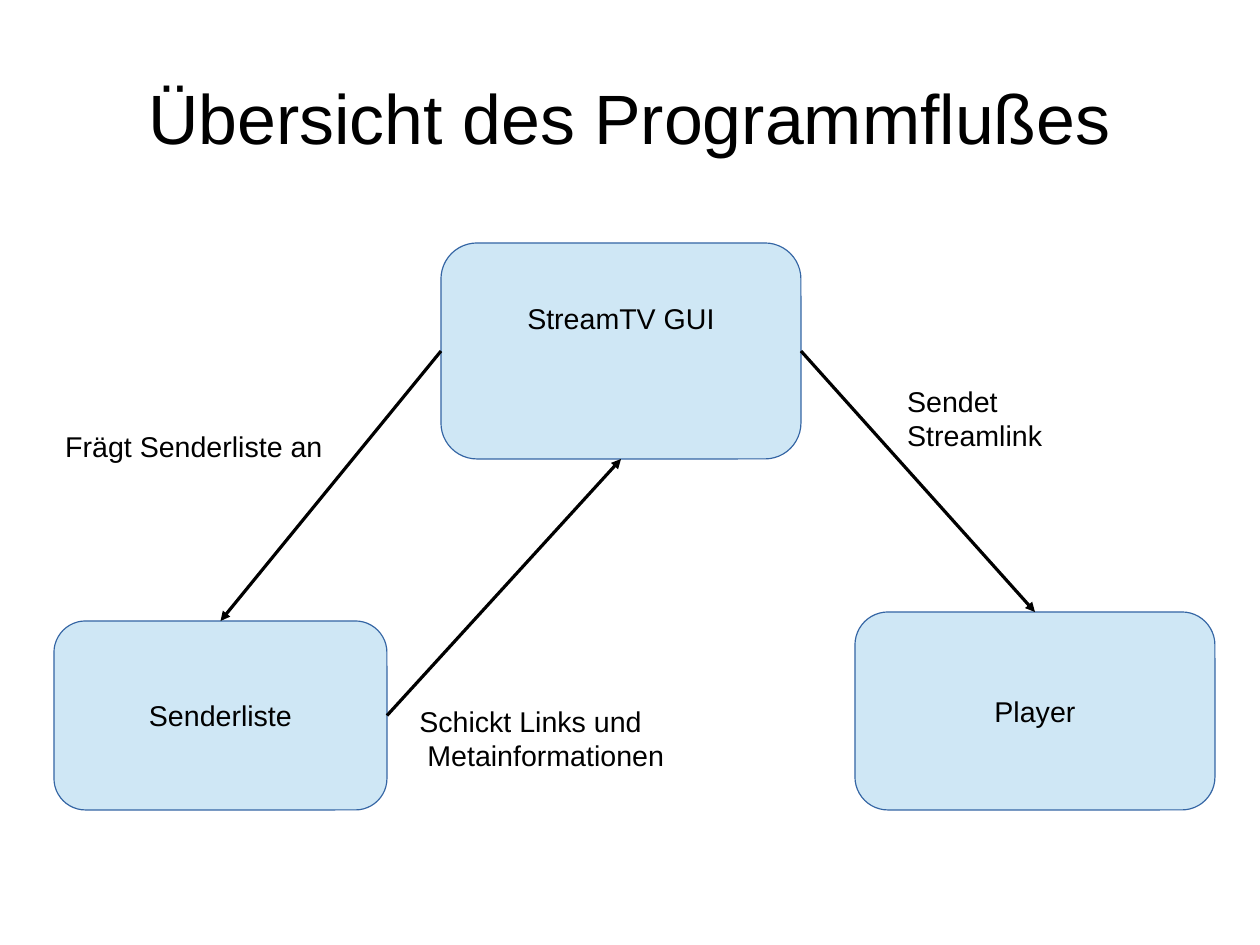
"""Build the slide that shows the program flow between GUI, station list and player."""
from dataclasses import dataclass

from lxml.etree import SubElement
from pptx import Presentation
from pptx.dml.color import RGBColor
from pptx.enum.shapes import MSO_CONNECTOR as Connector, MSO_SHAPE as Preset
from pptx.enum.text import MSO_ANCHOR as Anchor, MSO_AUTO_SIZE as AutoSize, PP_ALIGN as Align
from pptx.oxml.ns import qn
from pptx.shapes.autoshape import Shape
from pptx.slide import Slide
from pptx.text.text import TextFrame
from pptx.util import Cm, Pt

BLACK = RGBColor(0x00, 0x00, 0x00)
LIGHT_BLUE = RGBColor(0xCF, 0xE7, 0xF5)
BORDER_BLUE = RGBColor(0x34, 0x65, 0xA4)
FONT = "Arial"
TOP, LEFT, BOTTOM, RIGHT = range(4)


@dataclass(frozen=True)
class Station:
    text: str
    left: float
    top: float
    width: float
    height: float
    bottom_inset: float = 0.13


@dataclass(frozen=True)
class Flow:
    source: str
    source_side: int
    target: str
    target_side: int


@dataclass(frozen=True)
class Label:
    text: str
    left: float
    top: float
    width: float
    height: float
    last_indent: float = 0


STATIONS = [
    Station("StreamTV GUI", 9.8, 5.4, 8, 4.8, bottom_inset=1.58),
    Station("Senderliste", 1.2, 13.8, 7.4, 4.2),
    Station("Player", 19, 13.6, 8, 4.4),
]
FLOWS = [
    Flow("StreamTV GUI", LEFT, "Senderliste", TOP),
    Flow("Senderliste", RIGHT, "StreamTV GUI", BOTTOM),
    Flow("StreamTV GUI", RIGHT, "Player", TOP),
]
LABELS = [
    Label("Frägt Senderliste an", 1.2, 9.4, 6.6, 0.97),
    Label("Schickt Links und\nMetainformationen", 9.07, 15.52, 6.4, 1.68, last_indent=0.18),
    Label("Sendet Streamlink", 19.91, 8.4, 5.6, 1.68),
]


def format_text(frame: TextFrame, size: int, align: Align) -> None:
    """Apply font, size, colour and alignment to all paragraphs."""
    frame.word_wrap = True
    for para in frame.paragraphs:
        para.alignment = align
        for span in para.runs:
            span.font.name = FONT
            span.font.size = Pt(size)
            span.font.color.rgb = BLACK


def set_title(slide: Slide, text: str) -> None:
    """Fill and place the title placeholder."""
    title = slide.shapes.title
    title.left, title.top, title.width, title.height = Cm(1.4), Cm(0.84), Cm(25.2), Cm(3.5)
    frame = title.text_frame
    frame.text = text
    frame.auto_size = AutoSize.NONE
    frame.vertical_anchor = Anchor.MIDDLE
    frame.margin_left = frame.margin_right = frame.margin_top = frame.margin_bottom = 0
    format_text(frame, 44, Align.CENTER)


def add_station(slide: Slide, station: Station) -> Shape:
    """Draw one rounded box of the program flow."""
    box = slide.shapes.add_shape(
        Preset.ROUNDED_RECTANGLE,
        Cm(station.left), Cm(station.top), Cm(station.width), Cm(station.height),
    )
    box.shadow.inherit = False
    box.fill.solid()
    box.fill.fore_color.rgb = LIGHT_BLUE
    box.line.color.rgb = BORDER_BLUE
    box.line.width = Pt(0)
    frame = box.text_frame
    frame.text = station.text
    frame.vertical_anchor = Anchor.MIDDLE
    frame.margin_bottom = Cm(station.bottom_inset)
    format_text(frame, 18, Align.CENTER)
    return box


def add_flow(slide: Slide, flow: Flow, boxes: dict[str, Shape]) -> None:
    """Draw one arrow glued to two boxes."""
    arrow = slide.shapes.add_connector(Connector.STRAIGHT, 0, 0, 0, 0)
    arrow.begin_connect(boxes[flow.source], flow.source_side)
    arrow.end_connect(boxes[flow.target], flow.target_side)
    arrow.line.color.rgb = BLACK
    arrow.line.width = Pt(0)
    SubElement(arrow.line._get_or_add_ln(), qn("a:tailEnd"), type="triangle")
    SubElement(arrow._element.spPr, qn("a:effectLst"))


def add_label(slide: Slide, label: Label) -> None:
    """Write the caption of one arrow."""
    box = slide.shapes.add_textbox(
        Cm(label.left), Cm(label.top), Cm(label.width), Cm(label.height)
    )
    frame = box.text_frame
    frame.text = label.text
    format_text(frame, 18, Align.LEFT)
    if label.last_indent:
        properties = frame.paragraphs[-1]._p.get_or_add_pPr()
        properties.set("marL", str(Cm(label.last_indent)))


def main() -> None:
    """Build and save the deck."""
    deck = Presentation()
    deck.slide_width, deck.slide_height = Cm(28), Cm(21)
    slide = deck.slides.add_slide(deck.slide_layouts[5])
    set_title(slide, "Übersicht des Programmflußes")
    boxes = {station.text: add_station(slide, station) for station in STATIONS}
    for flow in FLOWS:
        add_flow(slide, flow, boxes)
    for label in LABELS:
        add_label(slide, label)
    deck.save("out.pptx")


main()
